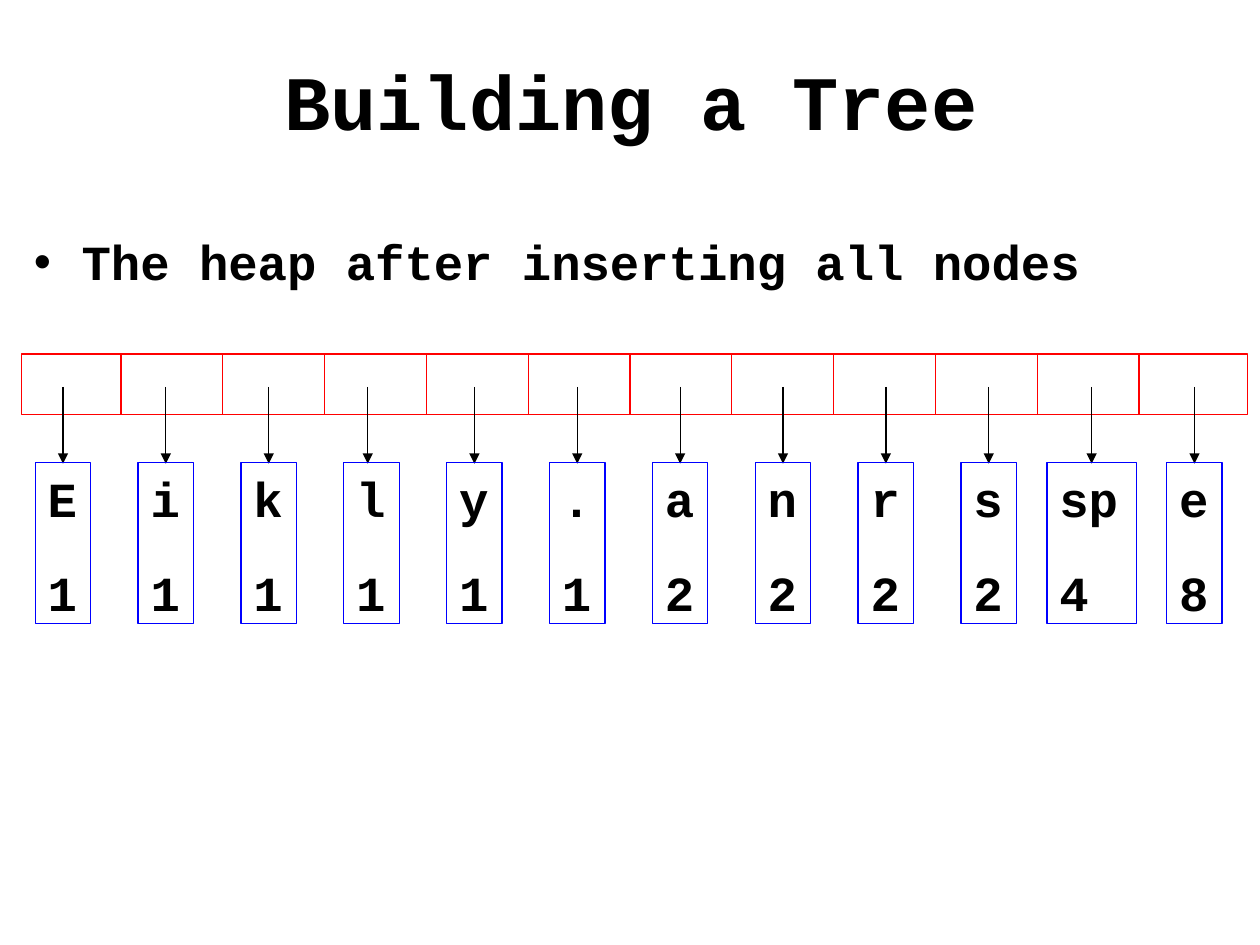
"""Build the slide that shows the heap after all nodes are inserted."""
from typing import NamedTuple

from lxml.etree import SubElement
from pptx import Presentation
from pptx.dml.color import RGBColor
from pptx.enum.shapes import MSO_CONNECTOR, MSO_SHAPE
from pptx.enum.text import MSO_ANCHOR, PP_ALIGN
from pptx.oxml.ns import qn
from pptx.slide import Slide
from pptx.util import Inches, Pt


class Node(NamedTuple):
    label: str
    count: int
    width: float = 0.44
    arrow_shift: float = 0


NODES = [
    Node("E", 1), Node("i", 1), Node("k", 1), Node("l", 1, arrow_shift=-0.03),
    Node("y", 1), Node(".", 1), Node("a", 2), Node("n", 2),
    Node("r", 2), Node("s", 2), Node("sp", 4, width=0.71), Node("e", 8),
]
BLACK, WHITE, RED, BLUE = "000000", "FFFFFF", "FF0000", "0000FF"
ARRAY_TOP, ARRAY_HEIGHT = 2.81, 0.48
FIRST_DIVIDER, LAST_DIVIDER = 0.96, 9.04
FIRST_CENTER, LAST_CENTER = 0.5, 9.48
NODE_TOP, NODE_HEIGHT = 3.67, 1.28


def color(value: str) -> RGBColor:
    return RGBColor.from_string(value)


def format_paragraph(paragraph, size: float) -> None:
    font = paragraph.font
    font.name, font.size, font.bold = "Courier New", Pt(size), True
    font.color.rgb = color(BLACK)


def add_box(slide: Slide, left: float, top: float, width: float, height: float, line: str):
    shape = slide.shapes.add_shape(
        MSO_SHAPE.RECTANGLE, Inches(left), Inches(top), Inches(width), Inches(height))
    shape.shadow.inherit = False
    shape.fill.background()
    shape.line.color.rgb = color(line)
    shape.line.width = Pt(0.75)
    return shape


def add_vertical_line(slide: Slide, x: float, top: float, bottom: float,
                      line: str, arrow: bool = False) -> None:
    connector = slide.shapes.add_connector(
        MSO_CONNECTOR.STRAIGHT, Inches(x), Inches(top), Inches(x), Inches(bottom))
    connector.line.color.rgb = color(line)
    connector.line.width = Pt(0.75)
    properties = connector._element.spPr
    if arrow:
        SubElement(properties.find(qn("a:ln")), qn("a:tailEnd"), type="triangle")
    SubElement(properties, qn("a:effectLst"))


def add_title(slide: Slide, text: str) -> None:
    title = slide.shapes.title
    title.left, title.top = Inches(0.76), Inches(0.17)
    title.width, title.height = Inches(8.5), Inches(1.25)
    title.text_frame.text = text
    title.text_frame.vertical_anchor = MSO_ANCHOR.MIDDLE
    paragraph = title.text_frame.paragraphs[0]
    paragraph.alignment = PP_ALIGN.CENTER
    format_paragraph(paragraph, 44)


def add_bullet(slide: Slide, text: str) -> None:
    box = slide.shapes.add_textbox(Inches(0.17), Inches(1.79), Inches(9.83), Inches(0.6))
    box.text_frame.word_wrap = True
    box.text_frame.text = text
    paragraph = box.text_frame.paragraphs[0]
    properties = paragraph._p.get_or_add_pPr()
    properties.set("marL", str(Inches(0.38)))
    properties.set("indent", str(-Inches(0.38)))
    SubElement(properties, qn("a:buFont"), typeface="Arial")
    SubElement(properties, qn("a:buChar"), char="•")
    format_paragraph(paragraph, 28)


def add_array(slide: Slide) -> None:
    array = add_box(slide, 0.17, ARRAY_TOP, 9.73, ARRAY_HEIGHT, RED)
    array.fill.solid()
    array.fill.fore_color.rgb = color(WHITE)
    divider_count = len(NODES) - 1
    pitch = (LAST_DIVIDER - FIRST_DIVIDER) / (divider_count - 1)
    for index in range(divider_count):
        x = FIRST_DIVIDER + index * pitch
        add_vertical_line(slide, x, ARRAY_TOP, ARRAY_TOP + ARRAY_HEIGHT, RED)


def add_node(slide: Slide, node: Node, center: float) -> None:
    add_vertical_line(slide, center + node.arrow_shift, 3.07, 3.68, BLACK, arrow=True)
    box = add_box(slide, center - node.width / 2, NODE_TOP, node.width, NODE_HEIGHT, BLUE)
    frame = box.text_frame
    frame.word_wrap = False
    frame.vertical_anchor = MSO_ANCHOR.TOP
    frame.text = f"{node.label}\n{node.count}"
    for paragraph in frame.paragraphs:
        paragraph.alignment = PP_ALIGN.LEFT
        format_paragraph(paragraph, 28)
    frame.paragraphs[1].space_before = Pt(20)


def main() -> None:
    presentation = Presentation()
    presentation.slide_width, presentation.slide_height = Inches(10), Inches(7.5)
    slide = presentation.slides.add_slide(presentation.slide_layouts[5])
    add_title(slide, "Building a Tree")
    add_bullet(slide, "The heap after inserting all nodes")
    add_array(slide)
    pitch = (LAST_CENTER - FIRST_CENTER) / (len(NODES) - 1)
    for index, node in enumerate(NODES):
        add_node(slide, node, FIRST_CENTER + index * pitch)
    presentation.save("out.pptx")


if __name__ == "__main__":
    main()
